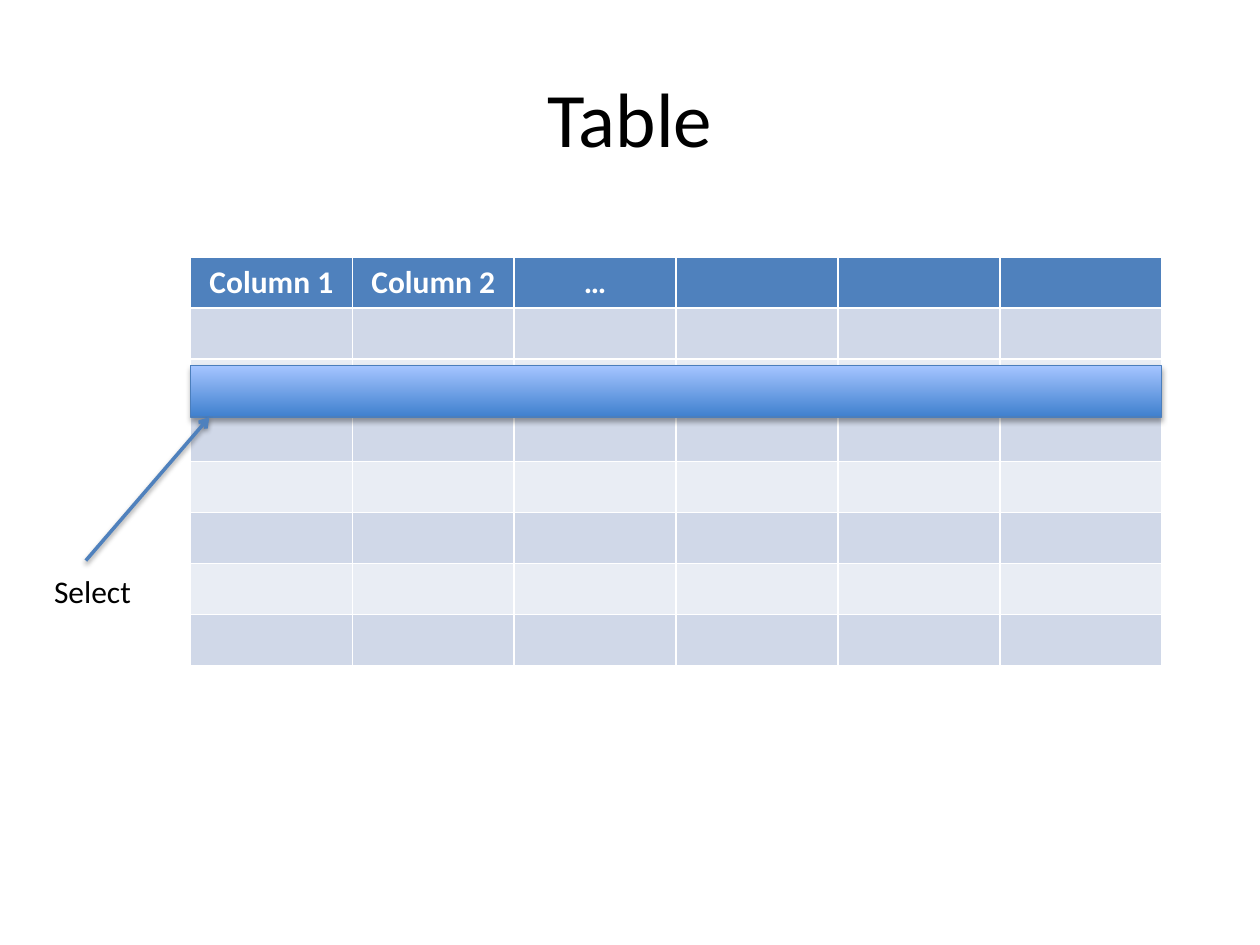
from dataclasses import dataclass

from lxml import etree
from pptx import Presentation
from pptx.dml.color import RGBColor
from pptx.enum.shapes import MSO_CONNECTOR, MSO_SHAPE
from pptx.enum.text import MSO_ANCHOR, MSO_AUTO_SIZE, PP_ALIGN
from pptx.oxml.ns import qn
from pptx.util import Cm, Pt

LEFT, CENTER = PP_ALIGN.LEFT, PP_ALIGN.CENTER
MIDDLE = MSO_ANCHOR.MIDDLE
RECTANGLE, STRAIGHT = MSO_SHAPE.RECTANGLE, MSO_CONNECTOR.STRAIGHT
FIT_SHAPE = MSO_AUTO_SIZE.SHAPE_TO_FIT_TEXT

FONT = "Calibri"
BLACK, WHITE, BLUE = "000000", "FFFFFF", "4F81BD"
BANDS = ("E9EDF4", "D0D8E8")
HEADERS = ("Column 1", "Column 2", "…", "", "", "")
ROWS = 8


@dataclass(frozen=True)
class Box:
    left: float
    top: float
    width: float
    height: float

    def cm(self) -> tuple:
        return Cm(self.left), Cm(self.top), Cm(self.width), Cm(self.height)


@dataclass(frozen=True)
class Shadow:
    opacity: int
    blur: float
    distance: float


TITLE = Box(1.27, 0.76, 22.86, 3.18)
TABLE = Box(3.84, 5.18, 19.58, 8.24)
SELECTED_ROW = Box(3.84, 7.37, 19.58, 1.04)
LABEL = Box(0.84, 11.4, 2.08, 1.03)


def rgb(color: str) -> RGBColor:
    return RGBColor.from_string(color)


def write(tf, text: str, *, size: float = 18, color: str = BLACK,
          bold: bool = False, align=LEFT) -> None:
    p = tf.paragraphs[0]
    p.alignment = align
    r = p.add_run()
    r.text = text
    r.font.name, r.font.size, r.font.bold = FONT, Pt(size), bold
    r.font.color.rgb = rgb(color)


def add_shadow(shape, shadow: Shadow) -> None:
    """Add a black shadow falling straight down."""
    effects = etree.SubElement(shape._element.spPr, qn("a:effectLst"))
    outer = etree.SubElement(
        effects, qn("a:outerShdw"), blurRad=str(Pt(shadow.blur)),
        dist=str(Pt(shadow.distance)), dir="5400000", rotWithShape="0")
    color = etree.SubElement(outer, qn("a:srgbClr"), val=BLACK)
    etree.SubElement(color, qn("a:alpha"), val=str(shadow.opacity * 1000))


def add_grid(s, box: Box) -> None:
    """The default table style supplies the white cell borders."""
    table = s.shapes.add_table(ROWS, len(HEADERS), *box.cm()).table
    for i, row in enumerate(table.rows):
        for j, cell in enumerate(row.cells):
            cell.fill.solid()
            cell.fill.fore_color.rgb = rgb(BANDS[i % 2] if i else BLUE)
            if i == 0 and HEADERS[j]:
                write(cell.text_frame, HEADERS[j], color=WHITE, bold=True,
                      align=CENTER)


def add_highlight(s, box: Box) -> None:
    sp = s.shapes.add_shape(RECTANGLE, *box.cm())
    sp.fill.gradient()
    sp.fill.gradient_angle = 90
    for stop, color in zip(sp.fill.gradient_stops, ("3F80CE", "A4C4FF")):
        stop.color.rgb = rgb(color)
    sp.line.color.rgb = rgb("4B7EBC")
    sp.line.width = Pt(0.75)
    add_shadow(sp, Shadow(35, 3.1, 1.8))


def add_arrow(s, x1: float, y1: float, x2: float, y2: float) -> None:
    cx = s.shapes.add_connector(STRAIGHT, Cm(x1), Cm(y1), Cm(x2), Cm(y2))
    cx.line.color.rgb = rgb(BLUE)
    cx.line.width = Pt(2)
    etree.SubElement(cx.line._get_or_add_ln(), qn("a:tailEnd"), type="arrow")
    add_shadow(cx, Shadow(38, 3.1, 1.6))


def main() -> None:
    prs = Presentation()
    prs.slide_width, prs.slide_height = Cm(25.4), Cm(19.05)
    s = prs.slides.add_slide(prs.slide_layouts[5])

    # Title
    title = s.shapes.title
    title.left, title.top, title.width, title.height = TITLE.cm()
    title.text_frame.vertical_anchor = MIDDLE
    write(title.text_frame, "Table", size=44, align=CENTER)

    # Table with one row selected
    add_grid(s, TABLE)
    add_highlight(s, SELECTED_ROW)

    # Callout
    add_arrow(s, 1.73, 11.3, 4.22, 8.41)
    tf = s.shapes.add_textbox(*LABEL.cm()).text_frame
    tf.word_wrap = False
    tf.auto_size = FIT_SHAPE
    write(tf, "Select")

    prs.save("out.pptx")


if __name__ == "__main__":
    main()
